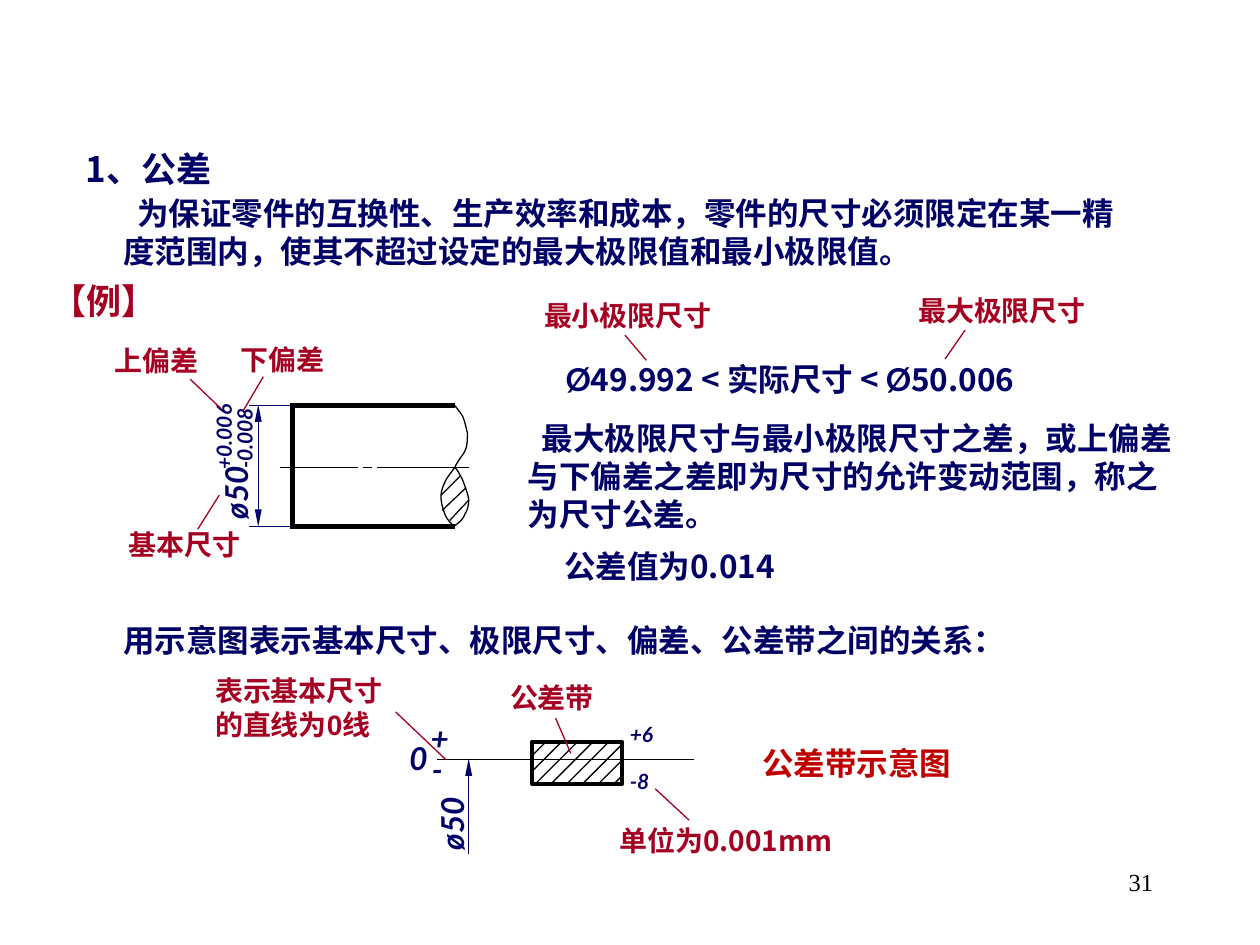
import dataclasses

import pptx
import pptx.dml.color
import pptx.enum.shapes
import pptx.enum.text
import pptx.oxml.ns
import pptx.util
from lxml import etree

Inches = pptx.util.Inches
Pt = pptx.util.Pt
ALIGN = pptx.enum.text.PP_ALIGN
qn = pptx.oxml.ns.qn


@dataclasses.dataclass(frozen=True)
class Theme:
    navy: str = "000066"
    crimson: str = "A50021"
    red: str = "C00000"
    black: str = "000000"
    white: str = "FFFFFF"
    heading: int = 20
    body: int = 18
    label: int = 16
    number: int = 14
    deviation: int = 12
    thin: float = 0.75
    frame: float = 2.25
    thick: float = 3
    cjk: str = "Noto Sans CJK SC"
    sans: str = "Arial"
    technical: str = "Lato"
    serif: str = "Times New Roman"


THEME = Theme()


def rgb(value):
    return pptx.dml.color.RGBColor.from_string(value)


def write_text(box, text, *, size=THEME.body, font=THEME.cjk, color=THEME.navy,
               bold=True, italic=False, align=ALIGN.LEFT, indent=0):
    frame = box.text_frame
    frame.word_wrap = True
    frame.auto_size = pptx.enum.text.MSO_AUTO_SIZE.NONE
    frame.vertical_anchor = pptx.enum.text.MSO_ANCHOR.TOP
    lines = [[(line, font)] for line in text.split("\n")] if isinstance(text, str) else [text]
    for index, spans in enumerate(lines):
        para = frame.add_paragraph() if index else frame.paragraphs[0]
        para.alignment = align
        para.line_spacing = Pt(size * 1.2)
        para.space_before = Pt(0)
        if indent:
            para._p.get_or_add_pPr().set("indent", str(Inches(indent)))
        for words, face in spans:
            span = para.add_run()
            span.text = words
            span.font.size = Pt(size)
            span.font.bold = bold
            span.font.italic = italic
            span.font.name = face
            span.font.color.rgb = rgb(color)
            etree.SubElement(span._r.rPr, qn("a:ea"), typeface=THEME.cjk)


def add_text(page, text, left, top, width, height, *, rotation=0, **style):
    box = page.shapes.add_textbox(*map(Inches, (left, top, width, height)))
    box.rotation = rotation
    write_text(box, text, **style)


def add_label(page, text, left, top, width, height=0.37, font=THEME.sans):
    add_text(page, text, left, top, width, height,
             size=THEME.label, font=font, color=THEME.crimson)


def add_dimension(page, text, left, top, width, height=0.4, size=THEME.body, rotation=0):
    add_text(page, text, left, top, width, height, size=size,
             font=THEME.technical, italic=True, rotation=rotation)


def add_line(page, start, end, color=THEME.black, width=THEME.thin, arrows=()):
    line = page.shapes.add_connector(
        pptx.enum.shapes.MSO_CONNECTOR.STRAIGHT, *map(Inches, (*start, *end)))
    line.line.color.rgb = rgb(color)
    line.line.width = Pt(width)
    for arrow in arrows:
        etree.SubElement(line.line._get_or_add_ln(), qn(f"a:{arrow}"),
                         type="triangle", w="sm", len="lg")
    etree.SubElement(line._element.spPr, qn("a:effectLst"))


def add_curve(page, start, segments, steps=6):
    points = []
    here = start
    for segment in segments:
        knots = (here, segment[:2], segment[2:4], segment[4:])
        for step in range(1, steps + 1):
            t = step / steps
            weights = ((1 - t) ** 3, 3 * t * (1 - t) ** 2, 3 * t * t * (1 - t), t ** 3)
            points.append(tuple(
                Inches(sum(w * knot[axis] for w, knot in zip(weights, knots)))
                for axis in (0, 1)))
        here = segment[4:]
    builder = page.shapes.build_freeform(*map(Inches, start), scale=1.0)
    builder.add_line_segments(points, close=False)
    curve = builder.convert_to_shape()
    curve.shadow.inherit = False
    curve.fill.background()
    curve.line.color.rgb = rgb(THEME.black)
    curve.line.width = Pt(THEME.thin)


def add_hatched_band(page, left, top, width, height, first=0.11, gap=0.125):
    band = page.shapes.add_shape(
        pptx.enum.shapes.MSO_SHAPE.RECTANGLE, *map(Inches, (left, top, width, height)))
    band.shadow.inherit = False
    band.fill.background()
    band.line.color.rgb = rgb(THEME.black)
    band.line.width = Pt(THEME.frame)
    for index in range(8):
        reach = first + index * gap
        upper = max(0, reach - width)
        lower = min(height, reach)
        add_line(page, (left + reach - upper, top + upper),
                 (left + reach - lower, top + lower))


def draw_shaft(page):
    add_line(page, (2.22, 3.71), (3.72, 3.71))
    for start, end in (((3.61, 3.22), (2.3, 3.22)), ((2.32, 3.21), (2.32, 4.2)),
                       ((2.3, 4.18), (3.61, 4.18))):
        add_line(page, start, end, width=THEME.thick)
    add_curve(page, (3.61, 3.22), (
        (3.62, 3.23, 3.65, 3.27, 3.67, 3.3), (3.69, 3.34, 3.7, 3.4, 3.71, 3.44),
        (3.71, 3.49, 3.71, 3.54, 3.69, 3.58), (3.67, 3.62, 3.63, 3.66, 3.61, 3.71),
        (3.58, 3.75, 3.54, 3.8, 3.53, 3.83), (3.51, 3.87, 3.5, 3.91, 3.5, 3.94),
        (3.5, 3.98, 3.51, 4.02, 3.52, 4.05), (3.53, 4.08, 3.54, 4.11, 3.56, 4.13),
        (3.57, 4.15, 3.6, 4.17, 3.61, 4.18)))
    add_curve(page, (3.61, 3.71), (
        (3.63, 3.73, 3.64, 3.75, 3.65, 3.77), (3.67, 3.8, 3.68, 3.83, 3.69, 3.86),
        (3.7, 3.89, 3.72, 3.94, 3.72, 3.97), (3.72, 4.01, 3.71, 4.05, 3.69, 4.08),
        (3.68, 4.11, 3.66, 4.13, 3.65, 4.14), (3.63, 4.16, 3.61, 4.17, 3.6, 4.18)))
    for start, end in (((3.65, 3.78), (3.5, 3.93)), ((3.7, 3.87), (3.51, 4.05)),
                       ((3.72, 3.97), (3.57, 4.13))):
        add_line(page, start, end)
    for x, y in ((2.86, 3.64), (2.97, 3.66)):
        add_line(page, (x, y), (x, y + 0.1), THEME.white, THEME.thick)
    for y in (3.22, 4.18):
        add_line(page, (2.31, y), (1.98, y), THEME.navy)
    add_line(page, (2.05, 3.21), (2.05, 4.18), THEME.navy, arrows=("headEnd", "tailEnd"))
    add_dimension(page, "ø50", 1.44, 3.59, 0.86, rotation=270)
    add_dimension(page, "+0.006", 1.36, 3.26, 0.83, 0.3, THEME.deviation, 270)
    add_dimension(page, "-0.008", 1.48, 3.21, 0.92, 0.3, THEME.deviation, 270)


def draw_tolerance_zone(page):
    for text, top in (("+6", 5.68), ("-8", 6.05)):
        add_dimension(page, text, 4.9, top, 0.65, 0.3, THEME.deviation)
    add_line(page, (3.47, 6.03), (5.51, 6.03))
    for text, left, top in (("+", 3.32, 5.66), ("-", 3.33, 5.9), ("0", 3.15, 5.82)):
        add_dimension(page, text, left, top, 0.78)
    add_line(page, (3.72, 6.78), (3.72, 6.02), THEME.navy, arrows=("tailEnd",))
    add_dimension(page, "ø50", 3.14, 6.2, 0.89, rotation=270)
    add_hatched_band(page, 4.22, 5.89, 0.72, 0.33)


def add_callouts(page):
    for start, end in (
            ((1.74, 3.93), (1.57, 4.2)), ((1.51, 3.01), (1.75, 3.24)),
            ((2.09, 2.99), (1.93, 3.26)), ((7.5, 2.85), (7.66, 2.62)),
            ((5.13, 2.86), (4.96, 2.66)), ((4.53, 5.98), (4.41, 5.7)),
            ((5.2, 6.26), (5.47, 6.51)), ((3.14, 5.65), (3.54, 6.03))):
        add_line(page, start, end, THEME.crimson)
    add_label(page, "基本尺寸", 0.92, 4.14, 2.09)
    add_label(page, "上偏差", 0.81, 2.68, 1.95)
    add_label(page, "下偏差", 1.81, 2.67, 1.95)
    add_label(page, "最大极限尺寸", 7.19, 2.28, 1.93)
    add_label(page, "最小极限尺寸", 4.22, 2.32, 2.67)
    add_label(page, "公差带", 3.95, 5.35, 1.51)
    add_label(page, "单位为0.001mm", 4.82, 6.49, 2.77, font=THEME.cjk)
    add_label(page, "表示基本尺寸\n的直线为0线", 1.61, 5.3, 1.84, 0.64)


def add_explanations(page):
    add_text(page, "为保证零件的互换性、生产效率和成本，零件的尺寸必须限定在某一精度范围内，"
             "使其不超过设定的最大极限值和最小极限值。", 0.88, 1.49, 8.28, 0.7, indent=0.11)
    add_text(page, "【例】", 0.31, 2.17, 1.39, 0.44,
             size=THEME.heading, font=THEME.sans, color=THEME.crimson)
    add_text(page, [("Ø", THEME.technical), ("49.992 < 实际尺寸 < ", THEME.cjk),
                    ("Ø", THEME.technical), ("50.006", THEME.cjk)], 4.39, 2.81, 4.67, 0.4)
    add_text(page, "最大极限尺寸与最小极限尺寸之差，或上偏差与下偏差之差即为尺寸的允许变动范围，"
             "称之为尺寸公差。", 4.09, 3.28, 5.33, 1, indent=0.11)
    add_text(page, "公差值为0.014", 4.38, 4.29, 2.79, 0.4)
    add_text(page, "用示意图表示基本尺寸、极限尺寸、偏差、公差带之间的关系：", 0.88, 4.88, 7.94, 0.4)
    add_text(page, "公差带示意图", 5.95, 5.86, 2.51, 0.4, font=THEME.sans, color=THEME.red)
    add_text(page, "31", 7.17, 6.83, 2.08, 0.5, size=THEME.number, font=THEME.serif,
             color=THEME.black, bold=False, align=ALIGN.RIGHT)


def main():
    deck = pptx.Presentation()
    deck.slide_width, deck.slide_height = Inches(10), Inches(7.5)
    page = deck.slides.add_slide(deck.slide_layouts[5])
    title = page.shapes.title
    title.left, title.top, title.width, title.height = map(Inches, (0.58, 1.12, 2.95, 0.44))
    write_text(title, "1、公差", size=THEME.heading)
    add_explanations(page)
    draw_shaft(page)
    draw_tolerance_zone(page)
    add_callouts(page)
    deck.save("out.pptx")


if __name__ == "__main__":
    main()
